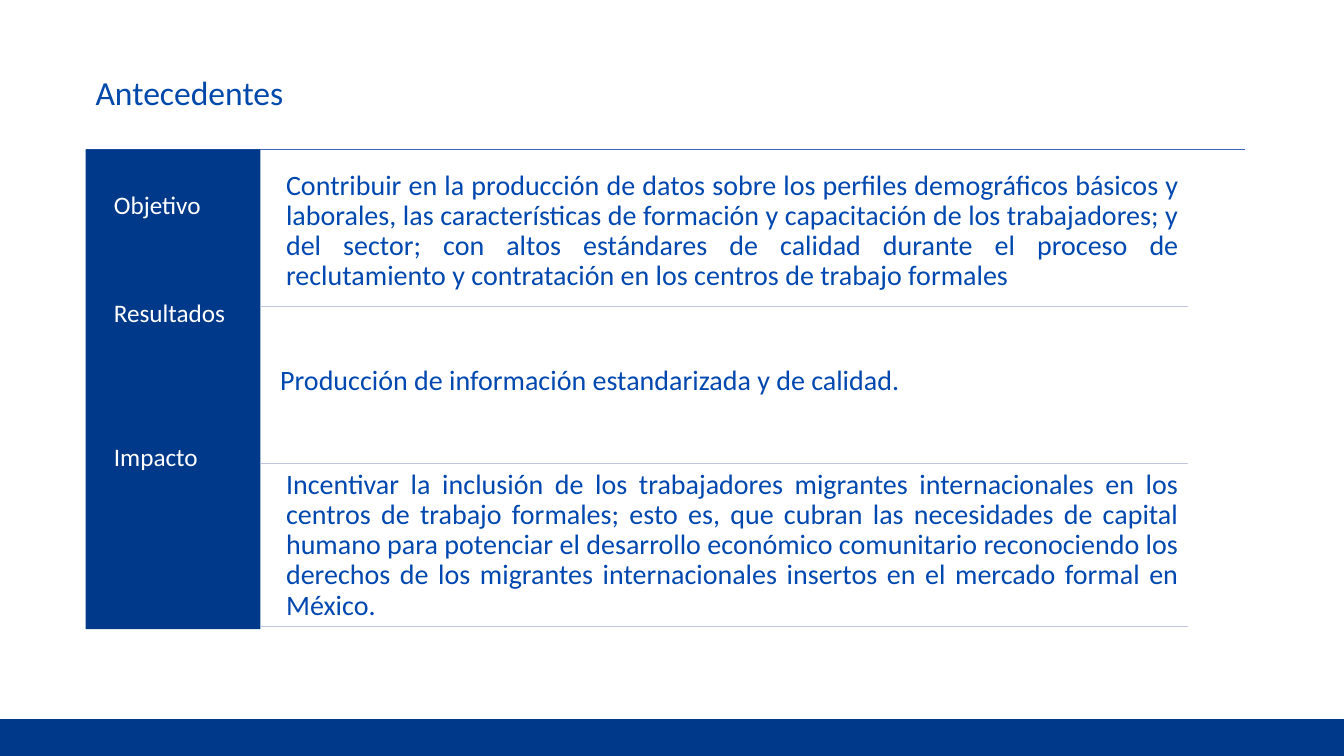
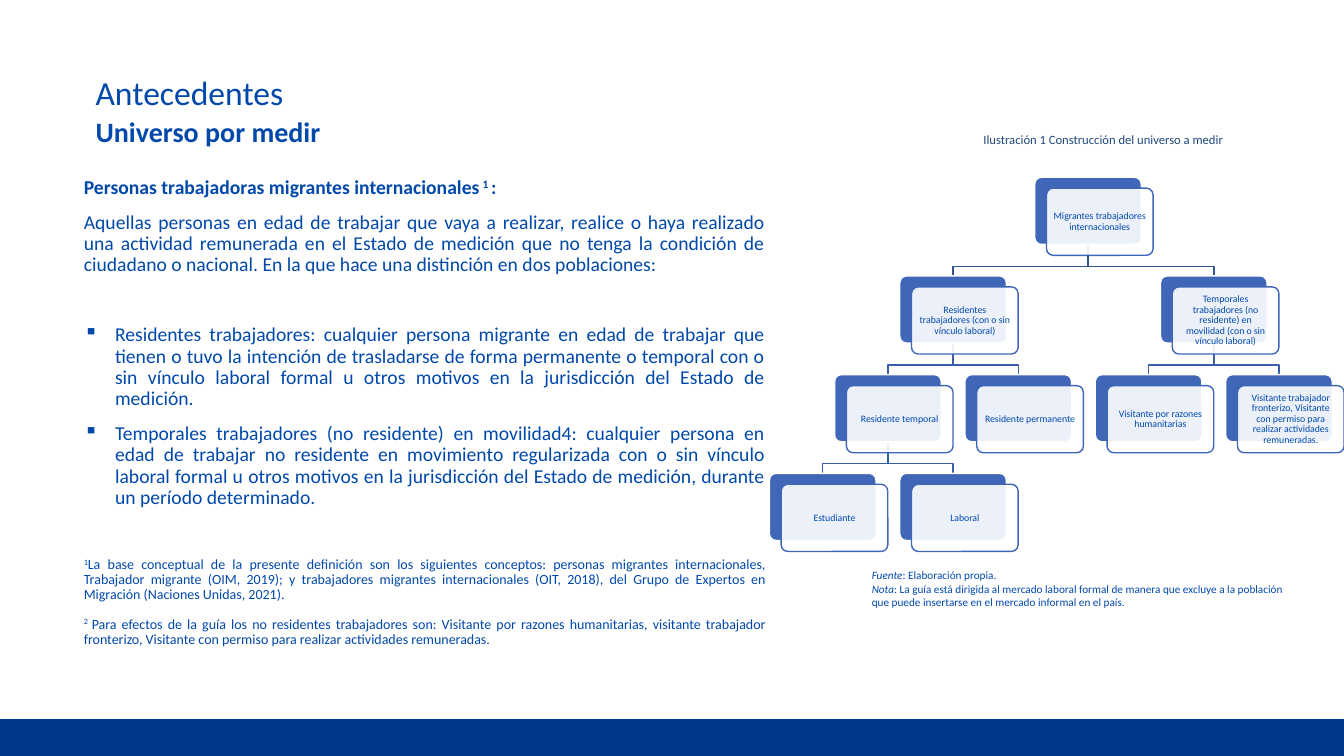
import dataclasses

import pptx
import pptx.dml.color
import pptx.enum.shapes
import pptx.enum.text
import pptx.oxml.ns
import pptx.util
from lxml import etree

ALIGN = pptx.enum.text.PP_ALIGN
ANCHOR = pptx.enum.text.MSO_ANCHOR
SHAPE = pptx.enum.shapes.MSO_SHAPE
CELL = pptx.util.Inches(1) // 12
COLUMNS, ROWS = 160, 90


@dataclasses.dataclass(frozen=True)
class Theme:
    font: str = "Calibri"
    navy: str = "00398A"
    title: str = "0048AA"
    text: str = "0048AF"
    caption: str = "1F497D"
    card: str = "4066B8"
    divider: str = "C0C6DF"
    trunk: str = "335293"
    branch: str = "3A5DA7"
    white: str = "FFFFFF"
    title_size: int = 24
    large_size: int = 20
    label_size: int = 18
    body_size: int = 14
    note_size: int = 10
    caption_size: int = 9
    source_size: int = 8
    card_size: int = 7


THEME = Theme()
MARGIN = 10.2
TITLE_WIDTH = 138
TIGHT = 0.9

SIDE_TOP, SIDE_WIDTH, SIDE_HEIGHT = 17.8, 20.8, 57.1
LABEL_STEP = 25.7
LABELS = [("Objetivo", 0), ("Resultados", 2), ("Impacto", 3)]
GOALS = [
    (33.1, 18.6, 36.5, "Contribuir en la producción de datos sobre los perfiles demográficos básicos y "
     "laborales, las características de formación y capacitación de los trabajadores; y del sector; "
     "con altos estándares de calidad durante el proceso de reclutamiento y contratación en los "
     "centros de trabajo formales"),
    (32.4, 36.4, 55.2, "Producción de información estandarizada y de calidad."),
    (33.1, 56, 74.6, "Incentivar la inclusión de los trabajadores migrantes internacionales en los "
     "centros de trabajo formales; esto es, que cubran las necesidades de capital humano para "
     "potenciar el desarrollo económico comunitario reconociendo los derechos de los migrantes "
     "internacionales insertos en el mercado formal en México."),
]

TREE_LEFT, TREE_TOP = 91.6, 21.1
TREE_COLUMN, TREE_ROW = 7.76, 11.75
CARD_WIDTH, CARD_HEIGHT = 12.7, 8
CARD_SHIFT = (1.4, 1.3)
ELBOW_GAP = 1.15
TREE = {
    "root": (None, 4.07, 0, "Migrantes trabajadores internacionales"),
    "resident": ("root", 2, 1, "Residentes trabajadores (con o sin vínculo laboral)"),
    "temporary": ("resident", 1, 2, "Residente temporal"),
    "student": ("temporary", 0, 3, "Estudiante"),
    "worker": ("temporary", 2, 3, "Laboral"),
    "permanent": ("resident", 3, 2, "Residente permanente"),
    "mobile": ("root", 6, 1,
               "Temporales trabajadores (no residente) en movilidad (con o sin vínculo laboral)"),
    "humanitarian": ("mobile", 5, 2, "Visitante por razones humanitarias"),
    "border": ("mobile", 7, 2, "Visitante trabajador fronterizo, Visitante con permiso para "
               "realizar actividades remuneradas."),
}


def grid(*cells):
    return [pptx.util.Emu(round(cell * CELL)) for cell in cells]


def rgb(code):
    return pptx.dml.color.RGBColor.from_string(code)


def apply(target, values):
    for name, value in values.items():
        setattr(target, name, value)


def add_span(para, text, size, color, raised=False, **font):
    span = para.add_run()
    span.text = text
    apply(span.font, {"name": THEME.font, "size": pptx.util.Pt(size), **font})
    span.font.color.rgb = rgb(color)
    if raised:
        span.font._element.set("baseline", "30000")


def add_bullet(para):
    props = para._p.get_or_add_pPr()
    indent = pptx.util.Inches(0.31)
    props.set("marL", str(indent))
    props.set("indent", str(-indent))
    etree.SubElement(props, pptx.oxml.ns.qn("a:buChar")).set("char", "▪")


def write(shape, paras, size, color, anchor=ANCHOR.TOP, inset=None, **common):
    frame = shape.text_frame
    apply(frame, {"word_wrap": True, "vertical_anchor": anchor})
    sides = ("margin_left", "margin_top", "margin_right", "margin_bottom")
    if inset:
        apply(frame, dict(zip(sides, map(pptx.util.Inches, inset))))
    for index, (spans, values) in enumerate(paras):
        para = frame.paragraphs[0] if index == 0 else frame.add_paragraph()
        values = dict(values)
        bullet = values.pop("bullet", False)
        para_size = values.pop("size", size)
        apply(para, {**common, **values})
        if bullet:
            add_bullet(para)
        for text, font in spans:
            add_span(para, text, para_size, color, **font)


def plain(text, **font):
    return [([(text, font)], {})]


def add_text(page, place, paras, size, color, **values):
    box = page.shapes.add_textbox(*grid(*place))
    write(box, paras, size, color, **values)


def add_block(page, place, color, kind=SHAPE.RECTANGLE, line=None):
    block = page.shapes.add_shape(kind, *grid(*place))
    block.shadow.inherit = False
    block.fill.solid()
    block.fill.fore_color.rgb = rgb(color)
    if line:
        style_line(block, line)
    else:
        block.line.fill.background()
    return block


def style_line(shape, color):
    shape.line.color.rgb = rgb(color)
    shape.line.width = pptx.util.Pt(1)


def add_rule(page, left, right, top, color):
    rule = page.shapes.add_connector(
        pptx.enum.shapes.MSO_CONNECTOR.STRAIGHT, *grid(left, top, right, top))
    style_line(rule, color)
    etree.SubElement(rule._element.spPr, pptx.oxml.ns.qn("a:effectLst"))


def add_page(deck):
    page = deck.slides.add_slide(deck.slide_layouts[6])
    add_text(page, (MARGIN, 8.5, TITLE_WIDTH, 4.7), plain("Antecedentes"),
             THEME.title_size, THEME.title, line_spacing=TIGHT)
    add_block(page, (0, 85.6, COLUMNS, ROWS - 85.6), THEME.navy)
    return page


def card_place(name):
    _, column, row, _ = TREE[name]
    return TREE_LEFT + column * TREE_COLUMN, TREE_TOP + row * TREE_ROW


def add_elbow(page, parent, child):
    (from_left, from_top), (to_left, to_top) = card_place(parent), card_place(child)
    start, end = from_left + CARD_WIDTH / 2, to_left + CARD_WIDTH / 2
    bend = to_top - ELBOW_GAP
    builder = page.shapes.build_freeform(*grid(start, from_top + CARD_HEIGHT))
    builder.add_line_segments(
        [grid(start, bend), grid(end, bend), grid(end, to_top)], close=False)
    elbow = builder.convert_to_shape()
    elbow.shadow.inherit = False
    elbow.fill.background()
    style_line(elbow, THEME.trunk if parent == "root" else THEME.branch)


def add_card(page, name):
    left, top = card_place(name)
    shift_x, shift_y = CARD_SHIFT
    layers = [(left, top, THEME.card, THEME.white),
              (left + shift_x, top + shift_y, THEME.white, THEME.card)]
    for x, y, fill, line in layers:
        card = add_block(page, (x, y, CARD_WIDTH, CARD_HEIGHT), fill,
                         SHAPE.ROUNDED_RECTANGLE, line)
        card.adjustments[0] = 0.1
    color = card.fill._xPr.find(".//" + pptx.oxml.ns.qn("a:srgbClr"))
    etree.SubElement(color, pptx.oxml.ns.qn("a:alpha")).set("val", "90000")
    write(card, plain(TREE[name][3]), THEME.card_size, THEME.text, anchor=ANCHOR.MIDDLE,
          inset=(0.05,) * 4, alignment=ALIGN.CENTER, line_spacing=TIGHT)


def add_tree(page):
    for name, (parent, *_) in TREE.items():
        if parent:
            add_elbow(page, parent, name)
    for name in TREE:
        add_card(page, name)


def build_goals(deck):
    page = add_page(deck)
    add_rule(page, MARGIN, MARGIN + TITLE_WIDTH, SIDE_TOP, THEME.card)
    side = add_block(page, (MARGIN, SIDE_TOP, SIDE_WIDTH, SIDE_HEIGHT), THEME.navy)
    labels = [([(text, {})], {"space_before": pptx.util.Pt(steps * LABEL_STEP)})
              for text, steps in LABELS]
    write(side, labels, THEME.label_size, THEME.white, inset=(0.28, 0.43, 0.07, 0.07),
          alignment=ALIGN.JUSTIFY, line_spacing=TIGHT, space_after=pptx.util.Pt(6.3))
    for left, top, divider, text in GOALS:
        add_text(page, (left, top, 108.2, 17.9), plain(text), THEME.large_size, THEME.text,
                 anchor=ANCHOR.MIDDLE, inset=(0.08,) * 4,
                 alignment=ALIGN.JUSTIFY, line_spacing=TIGHT)
        add_rule(page, 31.1, 141.4, divider, THEME.divider)


def build_universe(deck):
    page = add_page(deck)
    add_text(page, (MARGIN, 11.4, 34.7, 8.9), plain("Universo por medir", bold=True),
             THEME.large_size, THEME.title, anchor=ANCHOR.MIDDLE, line_spacing=TIGHT)
    bold, raised, italic = {"bold": True}, {"raised": True}, {"italic": True}
    section = {"space_before": pptx.util.Pt(35)}
    note = {"size": THEME.note_size}
    definition = [
        ([("Personas trabajadoras migrantes internacionales", bold),
          (" 1 ", {**bold, **raised}), (":", bold)], {}),
        ([("Aquellas personas en edad de trabajar que vaya a realizar, realice o haya realizado una "
           "actividad remunerada en el Estado de medición que no tenga la condición de ciudadano o "
           "nacional. En la que hace una distinción en dos poblaciones:", {})], {}),
        ([("Residentes trabajadores: cualquier persona migrante en edad de trabajar que tienen o "
           "tuvo la intención de trasladarse de forma permanente o temporal con o sin vínculo "
           "laboral formal u otros motivos en la jurisdicción del Estado de medición.", {})],
         {"bullet": True, **section}),
        ([("Temporales trabajadores (no residente) en movilidad4: cualquier persona en edad de "
           "trabajar no residente en movimiento regularizada con o sin vínculo laboral formal u "
           "otros motivos en la jurisdicción del Estado de medición, durante un período "
           "determinado.", {})], {"bullet": True}),
        ([("1", raised),
          ("La base conceptual de la presente definición son los siguientes conceptos: personas "
           "migrantes internacionales, Trabajador migrante (OIM, 2019); y trabajadores migrantes "
           "internacionales (OIT, 2018), del Grupo de Expertos en Migración (Naciones Unidas, "
           "2021).", {})], {**note, **section}),
        ([("2 ", raised),
          ("Para efectos de la guía los no residentes trabajadores son: Visitante por razones "
           "humanitarias, visitante trabajador fronterizo, Visitante con permiso para realizar "
           "actividades remuneradas.", {})], note),
    ]
    add_text(page, (8.8, 20.5, 83.5, 61), definition, THEME.body_size, THEME.title,
             alignment=ALIGN.JUSTIFY, line_spacing=TIGHT, space_before=pptx.util.Pt(10))
    add_text(page, (115.9, 15.1, 35.8, 3),
             plain("Ilustración 1 Construcción del universo a medir"),
             THEME.caption_size, THEME.caption)
    sources = [
        ([("Fuente", italic), (": Elaboración propia.", {})], {}),
        ([("Nota", italic),
          (": La guía está dirigida al mercado laboral formal de manera que excluye a la población "
           "que puede insertarse en el mercado informal en el país.", {})], {}),
    ]
    add_text(page, (102.6, 67.1, 52.4, 6), sources, THEME.source_size, THEME.text)
    add_tree(page)


def main():
    deck = pptx.Presentation()
    width, height = grid(COLUMNS, ROWS)
    apply(deck, {"slide_width": width, "slide_height": height})
    build_goals(deck)
    build_universe(deck)
    deck.save("out.pptx")


if __name__ == "__main__":
    main()
